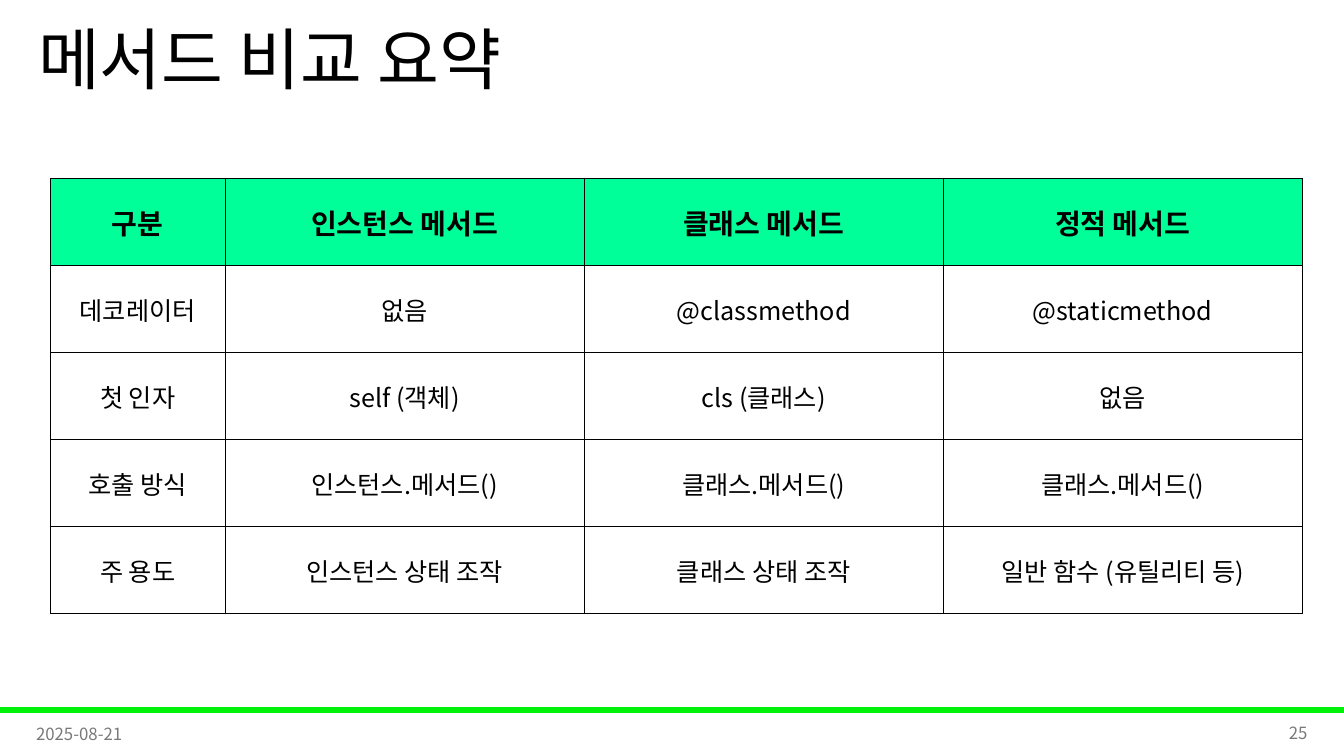
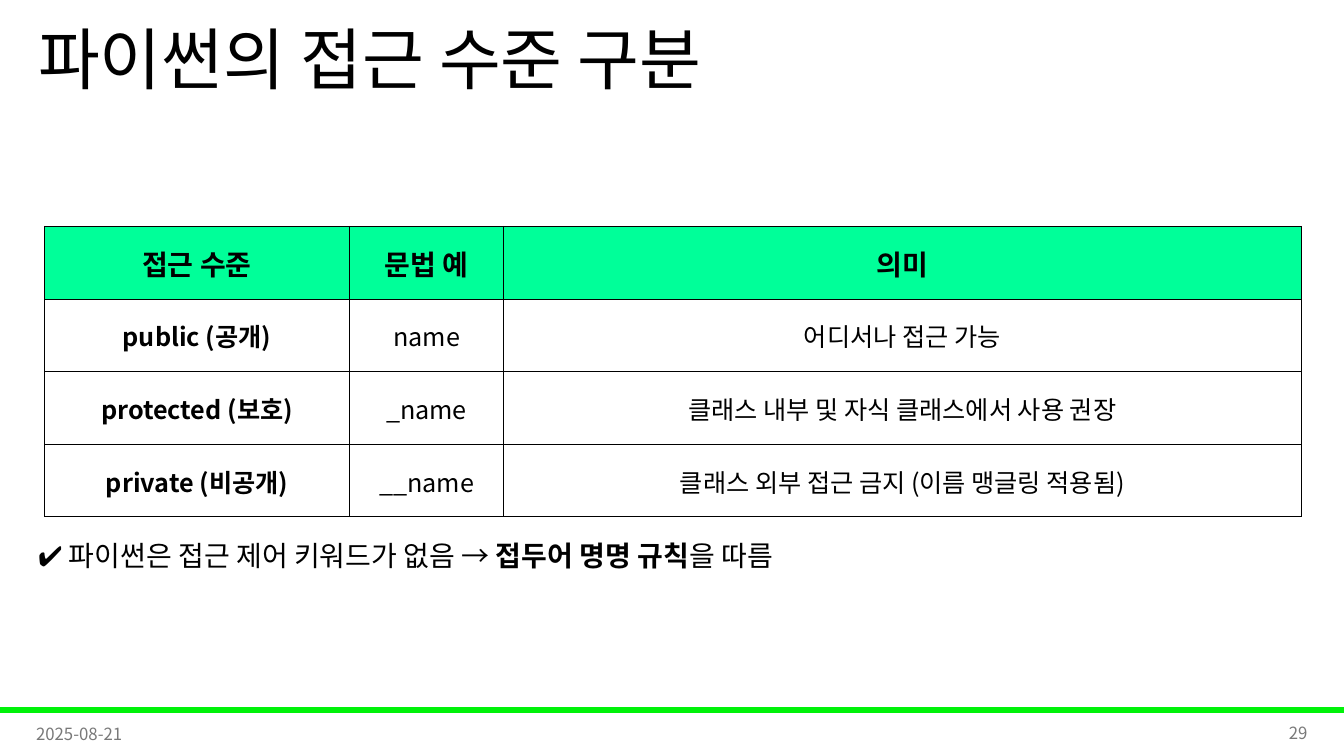
from dataclasses import dataclass

from lxml import etree
from pptx import Presentation
from pptx.dml.color import RGBColor
from pptx.enum.shapes import MSO_SHAPE
from pptx.enum.text import MSO_ANCHOR, MSO_AUTO_SIZE, PP_ALIGN
from pptx.oxml import parse_xml
from pptx.oxml.ns import nsdecls, qn
from pptx.util import Cm, Pt

LEFT, CENTER, RIGHT = PP_ALIGN.LEFT, PP_ALIGN.CENTER, PP_ALIGN.RIGHT
TOP, MIDDLE = MSO_ANCHOR.TOP, MSO_ANCHOR.MIDDLE


@dataclass(frozen=True)
class Theme:
    font: str = "Noto Sans CJK KR"
    ink: RGBColor = RGBColor(0, 0, 0)
    muted: RGBColor = RGBColor(0x79, 0x79, 0x79)
    band: RGBColor = RGBColor(0x00, 0xF2, 0x09)
    header: RGBColor = RGBColor(0x00, 0xFF, 0x99)
    title_size: int = 48
    heading_size: int = 20
    cell_size: int = 18
    footer_size: int = 12


theme = Theme()

# Slide content: column widths, row heights and positions are in centimetres
slides = [
    {
        "title": "메서드 비교 요약",
        "number": "25",
        "position": (1.27, 4.5),
        "columns": [4.4, 9.05, 9.05, 9.05],
        "row_height": 2.19,
        "bold_first_column": False,
        "rows": [
            ["구분", "인스턴스 메서드", "클래스 메서드", "정적 메서드"],
            ["데코레이터", "없음", "@classmethod", "@staticmethod"],
            ["첫 인자", "self (객체)", "cls (클래스)", "없음"],
            ["호출 방식", "인스턴스.메서드()", "클래스.메서드()", "클래스.메서드()"],
            ["주 용도", "인스턴스 상태 조작", "클래스 상태 조작", "일반 함수 (유틸리티 등)"],
        ],
        "note": [],
    },
    {
        "title": "파이썬의 접근 수준 구분",
        "number": "29",
        "position": (1.12, 5.7),
        "columns": [7.69, 3.88, 20.1],
        "row_height": 1.83,
        "bold_first_column": True,
        "rows": [
            ["접근 수준", "문법 예", "의미"],
            ["public (공개)", "name", "어디서나 접근 가능"],
            ["protected (보호)", "_name", "클래스 내부 및 자식 클래스에서 사용 권장"],
            ["private (비공개)", "__name", "클래스 외부 접근 금지 (이름 맹글링 적용됨)"],
        ],
        "note": [
            ("✔️ 파이썬은 접근 제어 키워드가 없음 → ", False),
            ("접두어 명명 규칙", True),
            ("을 따름", False),
        ],
    },
]


def style_paragraph(paragraph, size, color=theme.ink, align=LEFT, bold=None):
    """Set alignment and font, for Latin and Korean text alike."""
    paragraph.alignment = align
    font = paragraph.font
    font.name, font.size, font.bold = theme.font, Pt(size), bold
    font.color.rgb = color
    properties = paragraph._p.pPr.find(qn("a:defRPr"))
    etree.SubElement(properties, qn("a:ea"), typeface=theme.font)


def add_text(slide, box, runs, size, color=theme.ink, align=LEFT, anchor=MIDDLE):
    """Add a one-paragraph text box; runs are (text, bold) pairs."""
    frame = slide.shapes.add_textbox(*map(Cm, box)).text_frame
    frame.word_wrap = True
    frame.vertical_anchor = anchor
    paragraph = frame.paragraphs[0]
    for text, bold in runs:
        run = paragraph.add_run()
        run.text = text
        if bold:
            run.font.bold = True
    style_paragraph(paragraph, size, color, align)
    return paragraph


presentation = Presentation()
presentation.slide_width, presentation.slide_height = Cm(33.87), Cm(19.05)
title_only = presentation.slide_layouts[5]

for content in slides:
    slide = presentation.slides.add_slide(title_only)

    # Title
    title = slide.shapes.title
    title.left, title.top, title.width, title.height = map(Cm, (0.71, 0, 29.21, 3.18))
    title.text_frame.text = content["title"]
    title.text_frame.auto_size = MSO_AUTO_SIZE.NONE
    title.text_frame.vertical_anchor = MIDDLE
    paragraph = title.text_frame.paragraphs[0]
    paragraph.line_spacing = 0.9
    style_paragraph(paragraph, theme.title_size)

    # Footer band, date and slide number
    band = slide.shapes.add_shape(
        MSO_SHAPE.RECTANGLE, 0, Cm(17.83), presentation.slide_width, Cm(0.13))
    band.shadow.inherit = False
    band.fill.solid()
    band.fill.fore_color.rgb = theme.band
    band.line.color.rgb = theme.band
    band.line.width = Pt(1)
    for left, top, text, align in [
        (0.66, 17.98, "2025-08-21", LEFT),
        (25.58, 17.96, content["number"], RIGHT),
    ]:
        add_text(slide, (left, top, 7.62, 1.02), [(text, False)],
                 theme.footer_size, theme.muted, align)

    # Table
    rows, columns = content["rows"], content["columns"]
    left, top = content["position"]
    table = slide.shapes.add_table(
        len(rows), len(columns), Cm(left), Cm(top),
        Cm(sum(columns)), Cm(content["row_height"] * len(rows))).table
    table.horz_banding = False
    for column, width in zip(table.columns, columns):
        column.width = Cm(width)
    for row_index, texts in enumerate(rows):
        table.rows[row_index].height = Cm(content["row_height"])
        is_header = row_index == 0
        for column_index, text in enumerate(texts):
            cell = table.cell(row_index, column_index)
            cell.text = text
            cell.vertical_anchor = MIDDLE
            cell.margin_left = cell.margin_right = cell.margin_top = Cm(0.03)
            cell.margin_bottom = 0
            for side in "LRTB":
                cell._tc.get_or_add_tcPr().append(parse_xml(
                    f'<a:ln{side} {nsdecls("a")} w="{Pt(0.5)}"><a:solidFill>'
                    f'<a:srgbClr val="{theme.ink}"/></a:solidFill></a:ln{side}>'))
            if is_header:
                cell.fill.solid()
                cell.fill.fore_color.rgb = theme.header
            else:
                cell.fill.background()
            bold = is_header or (content["bold_first_column"] and column_index == 0)
            size = theme.heading_size if is_header else theme.cell_size
            style_paragraph(cell.text_frame.paragraphs[0], size, align=CENTER, bold=bold)

    # Note below the table
    if content["note"]:
        note = add_text(slide, (0.71, 13.03, 24.59, 1.4), content["note"],
                        theme.heading_size, anchor=TOP)
        note.line_spacing = 1.5

presentation.save("out.pptx")
